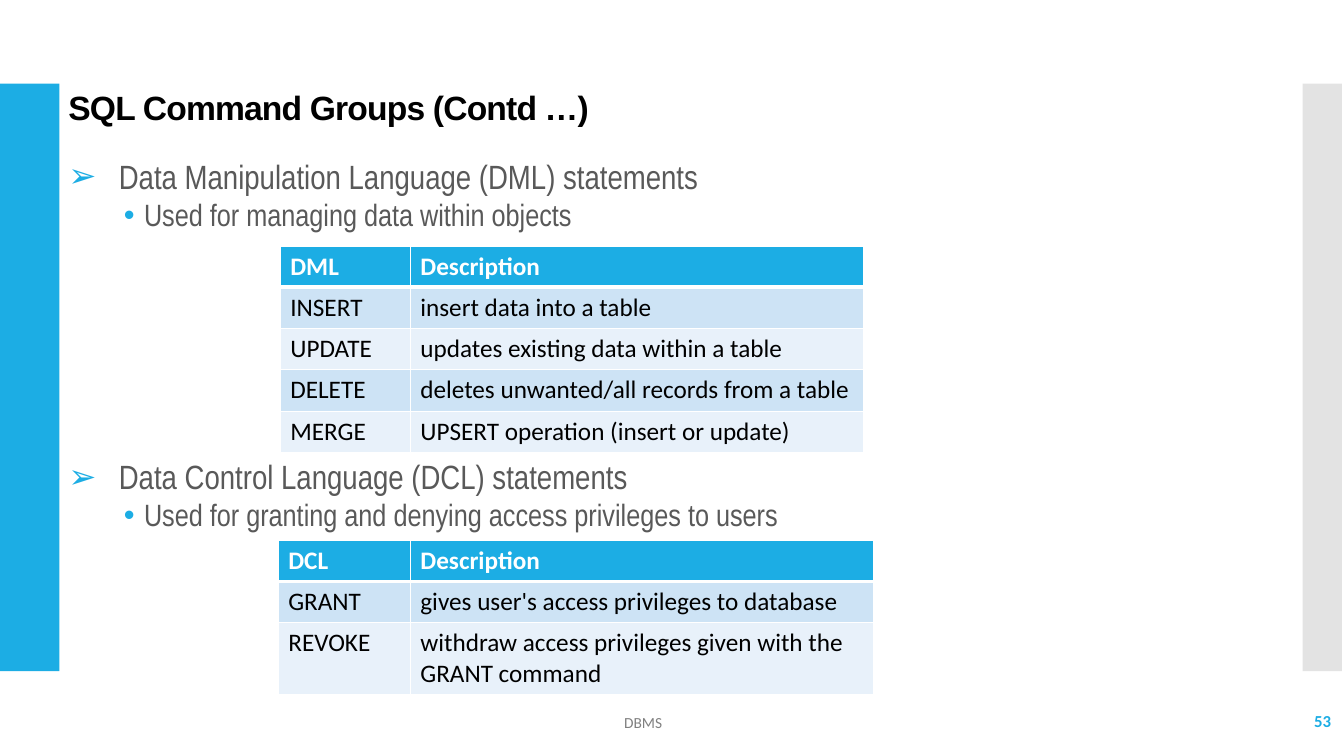
from lxml.etree import SubElement
from pptx import Presentation
from pptx.dml.color import RGBColor
from pptx.enum.shapes import MSO_SHAPE
from pptx.enum.text import MSO_ANCHOR, PP_ALIGN
from pptx.oxml.ns import qn
from pptx.util import Inches, Pt

COLORS = {
    "accent": "1CADE4", "side": "C8C8C8", "body": "595959", "footer": "808080",
    "black": "000000", "white": "FFFFFF", "band": "CDE3F5", "band_light": "E8F1FA",
}


def style(paragraph, font_name, size, color, bold=False):
    font = paragraph.font
    font.name, font.size, font.bold = font_name, Pt(size), bold
    font.color.rgb = RGBColor.from_string(COLORS[color])


def add_text(left, top, width, height, anchor=MSO_ANCHOR.TOP):
    frame = slide.shapes.add_textbox(
        Inches(left), Inches(top), Inches(width), Inches(height)).text_frame
    frame.word_wrap = True
    frame.vertical_anchor = anchor
    return frame


prs = Presentation()
prs.slide_width, prs.slide_height = Inches(13.33), Inches(7.5)
slide = prs.slides.add_slide(prs.slide_layouts[6])

# Side bars
for left, width, color, opacity in [(0, 0.59, "accent", 100), (12.92, 0.39, "side", 50)]:
    bar = slide.shapes.add_shape(
        MSO_SHAPE.RECTANGLE, Inches(left), Inches(0.83), Inches(width), Inches(5.83))
    bar.shadow.inherit = False
    bar.line.fill.background()
    bar.fill.solid()
    bar.fill.fore_color.rgb = RGBColor.from_string(COLORS[color])
    if opacity < 100:
        bar_color = bar._element.spPr.find(qn("a:solidFill"))[0]
        SubElement(bar_color, qn("a:alpha"), val=str(opacity * 1000))

# Title
title = add_text(0.58, 0.86, 10.44, 0.4).paragraphs[0]
title.text = "SQL Command Groups (Contd …)"
title.line_spacing = 0.9
style(title, "Arial", 24, "black", bold=True)
title._p.pPr.find(qn("a:defRPr")).set("spc", "-60")

# Command groups: statement, purpose and table
groups = [
    {"top": 1.54, "statement": "Data Manipulation Language (DML) statements",
     "purpose": "Used for managing data within objects",
     "table_at": (2.78, 2.44), "columns": (1.29, 4.5), "heights": [0.41] * 5,
     "rows": [("DML", "Description"),
              ("INSERT", "insert data into a table"),
              ("UPDATE", "updates existing data within a table"),
              ("DELETE", "deletes unwanted/all records from a table"),
              ("MERGE", "UPSERT operation (insert or update)")]},
    {"top": 4.52, "statement": "Data Control Language (DCL) statements",
     "purpose": "Used for granting and denying access privileges to users",
     "table_at": (2.76, 5.36), "columns": (1.31, 4.59), "heights": [0.41, 0.41, 0.71],
     "rows": [("DCL", "Description"),
              ("GRANT", "gives user's access privileges to database"),
              ("REVOKE", "withdraw access privileges given with the GRANT command")]},
]
for group in groups:
    frame = add_text(0.58, group["top"], 11.62, 0.85)
    bullets = [(group["statement"], 24, "➢", 0.5, -0.5, 0),
               (group["purpose"], 22, "•", 0.75, -0.2, 1)]
    for text, size, mark, margin, indent, level in bullets:
        line = frame.add_paragraph() if level else frame.paragraphs[0]
        line.text = text
        line.level = level
        line.line_spacing = 0.9
        if level:
            line.space_before = Pt(2.5)
        props = line._p.get_or_add_pPr()
        props.set("marL", str(Inches(margin)))
        props.set("indent", str(Inches(indent)))
        mark_color = SubElement(props, qn("a:buClr"))
        SubElement(mark_color, qn("a:srgbClr"), val=COLORS["accent"])
        SubElement(props, qn("a:buFont"), typeface="Arial")
        SubElement(props, qn("a:buChar"), char=mark)
        style(line, "Arial Narrow", size, "body")

    left, top = group["table_at"]
    table = slide.shapes.add_table(
        len(group["rows"]), 2, Inches(left), Inches(top),
        Inches(sum(group["columns"])), Inches(sum(group["heights"]))).table
    for column, width in zip(table.columns, group["columns"]):
        column.width = Inches(width)
    for r, (values, height) in enumerate(zip(group["rows"], group["heights"])):
        table.rows[r].height = Inches(height)
        header = r == 0
        fill = "accent" if header else "band" if r % 2 else "band_light"
        for c, value in enumerate(values):
            cell = table.cell(r, c)
            cell.text = value
            style(cell.text_frame.paragraphs[0], "Calibri", 18,
                  "white" if header else "black", bold=header)
            # Borders come before the fill in the cell properties
            cell_props = cell._tc.get_or_add_tcPr()
            for side in ("lnL", "lnR", "lnT", "lnB"):
                thick = (header and side == "lnB") or (r == 1 and side == "lnT")
                border = SubElement(cell_props, qn(f"a:{side}"), w=str(Pt(3 if thick else 1)))
                border_fill = SubElement(border, qn("a:solidFill"))
                SubElement(border_fill, qn("a:srgbClr"), val=COLORS["white"])
            cell.fill.solid()
            cell.fill.fore_color.rgb = RGBColor.from_string(COLORS[fill])

# Footer and slide number
footer = add_text(3.15, 6.97, 6.46, 0.4, MSO_ANCHOR.MIDDLE).paragraphs[0]
footer.text = "DBMS"
footer.alignment = PP_ALIGN.CENTER
style(footer, "Calibri", 11, "footer")

number = add_text(11.63, 6.95, 1.67, 0.4, MSO_ANCHOR.MIDDLE).paragraphs[0]
number.text = "53"
number.alignment = PP_ALIGN.RIGHT
style(number, "Calibri", 12, "accent", bold=True)

prs.save("out.pptx")
